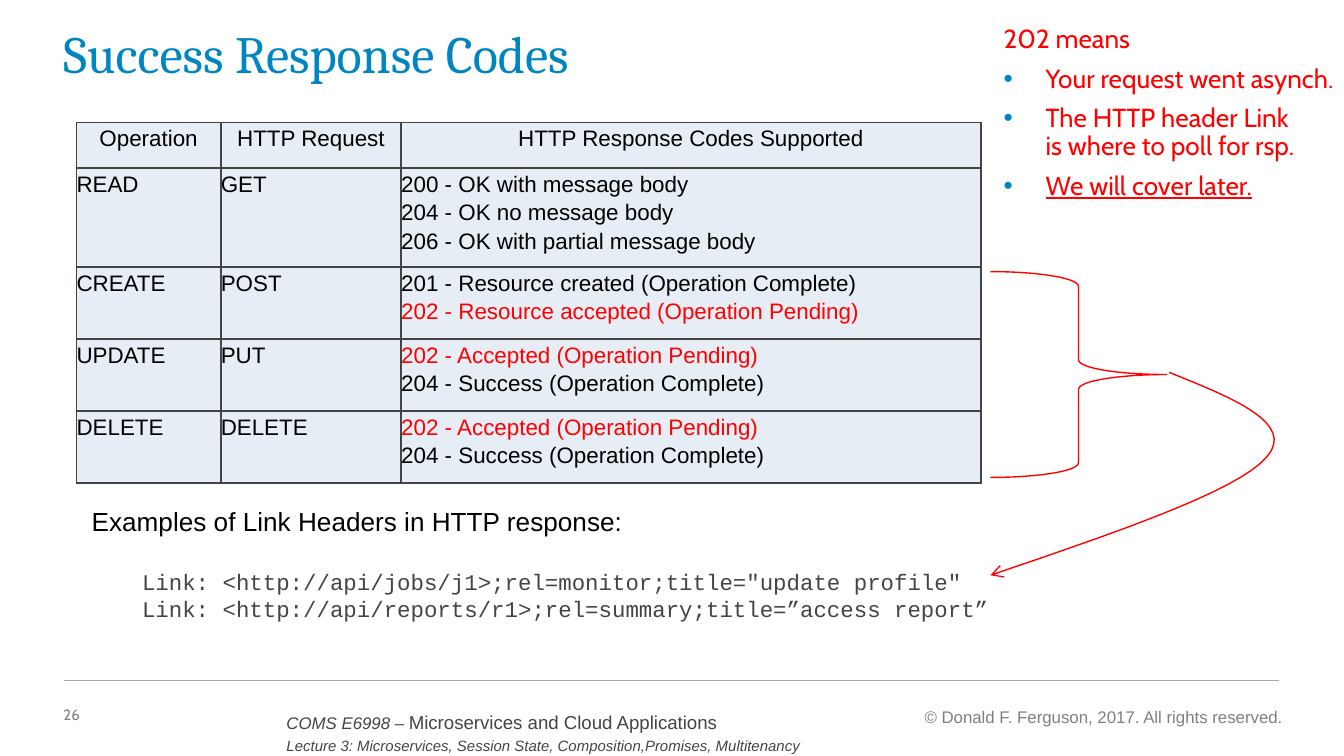
"""Build the slide on HTTP success response codes and Link headers."""
from lxml.etree import SubElement
from pptx import Presentation
from pptx.dml.color import RGBColor
from pptx.enum.shapes import MSO_CONNECTOR as Connector, MSO_SHAPE as Shape
from pptx.enum.text import MSO_ANCHOR as Anchor, PP_ALIGN as Align
from pptx.oxml.ns import qn
from pptx.util import Pt

COLORS = {
    "black": "000000", "red": "FF0000", "blue": "0085C3", "text": "444444",
    "muted": "808080", "rule": "AAAAAA", "cell": "E7EDF5",
}


def color(name):
    return RGBColor.from_string(COLORS[name])


def add_solid_fill(parent, name):
    SubElement(SubElement(parent, qn("a:solidFill")), qn("a:srgbClr"), val=COLORS[name])


def write_text(paragraph, text, size=12, font="Arial", ink="black", italic=None,
               underline=None, align=Align.LEFT, spacing=None, before=None):
    """Append formatted text to a paragraph, turning newlines into line breaks."""
    paragraph.alignment = align
    if spacing:
        paragraph.line_spacing = spacing
    if before:
        paragraph.space_before = Pt(before)
    for index, line in enumerate(text.split("\n")):
        if index:
            paragraph.add_line_break()
        run = paragraph.add_run()
        run.text = line
        run.font.size = Pt(size)
        run.font.name = font
        run.font.color.rgb = color(ink)
        run.font.italic = italic
        run.font.underline = underline


def next_paragraph(frame, index):
    return frame.add_paragraph() if index else frame.paragraphs[0]


def indent(paragraph, margin, first=0, bullet=None):
    properties = paragraph._p.get_or_add_pPr()
    properties.set("marL", str(Pt(margin)))
    properties.set("indent", str(Pt(first)))
    if bullet:
        SubElement(SubElement(properties, qn("a:buClr")), qn("a:srgbClr"), val=COLORS["blue"])
        SubElement(properties, qn("a:buFont"), typeface="Arial")
        SubElement(properties, qn("a:buChar"), char=bullet)


def bezier(start, first, second, end, steps=16):
    points = []
    for step in range(1, steps + 1):
        t = step / steps
        weights = ((1 - t) ** 3, 3 * t * (1 - t) ** 2, 3 * t * t * (1 - t), t ** 3)
        points.append(tuple(
            Pt(sum(w * p[axis] for w, p in zip(weights, (start, first, second, end))))
            for axis in (0, 1)))
    return points


class Deck:
    """Holds the style and the current slide."""

    def __init__(self, width, height):
        self.presentation = Presentation()
        self.presentation.slide_width = Pt(width)
        self.presentation.slide_height = Pt(height)
        self.slide = self.presentation.slides.add_slide(self.presentation.slide_layouts[5])
        self.shapes = self.slide.shapes

    def title(self, text, left, top, width, height):
        title = self.shapes.title
        title.left, title.top, title.width, title.height = map(Pt, (left, top, width, height))
        frame = title.text_frame
        self.clear_margins(frame)
        frame.vertical_anchor = Anchor.TOP
        write_text(frame.paragraphs[0], text, size=28, font="Cambria", ink="blue", spacing=0.9)

    def clear_margins(self, owner):
        owner.margin_left = owner.margin_top = owner.margin_right = owner.margin_bottom = 0

    def text_box(self, left, top, width, height, inset=False, anchor=Anchor.TOP):
        frame = self.shapes.add_textbox(*map(Pt, (left, top, width, height))).text_frame
        frame.word_wrap = True
        frame.vertical_anchor = anchor
        if not inset:
            self.clear_margins(frame)
        return frame

    def style_line(self, shape, ink):
        shape.line.color.rgb = color(ink)
        shape.line.width = Pt(0.75)

    def rule(self, left, top, right):
        rule = self.shapes.add_connector(Connector.STRAIGHT, *map(Pt, (left, top, right, top)))
        self.style_line(rule, "rule")
        SubElement(rule._element.spPr, qn("a:effectLst"))

    def brace(self, left, top, width, height):
        brace = self.shapes.add_shape(Shape.RIGHT_BRACE, *map(Pt, (left, top, width, height)))
        brace.shadow.inherit = False
        brace.fill.background()
        self.style_line(brace, "red")

    def curved_arrow(self, start, *curves):
        builder = self.shapes.build_freeform(*map(Pt, start))
        for first, second, end in curves:
            builder.add_line_segments(bezier(start, first, second, end), close=False)
            start = end
        arrow = builder.convert_to_shape()
        arrow.shadow.inherit = False
        arrow.fill.background()
        self.style_line(arrow, "red")
        SubElement(arrow.line._get_or_add_ln(), qn("a:tailEnd"), type="arrow")

    def table(self, left, top, widths, heights, rows):
        table = self.shapes.add_table(len(rows), len(widths), Pt(left), Pt(top),
                                      Pt(sum(widths)), Pt(sum(heights))).table
        table.first_row = table.horz_banding = False
        for column, width in zip(table.columns, widths):
            column.width = Pt(width)
        for index, (row, height) in enumerate(zip(rows, heights)):
            table.rows[index].height = Pt(height)
            for cell, text in zip(table.rows[index].cells, row):
                self.cell(cell, text, Align.LEFT if index else Align.CENTER)

    def cell(self, cell, text, align):
        self.clear_margins(cell)
        for side in ("lnL", "lnR", "lnT", "lnB"):
            border = SubElement(cell._tc.get_or_add_tcPr(), qn(f"a:{side}"), w=str(Pt(1)))
            add_solid_fill(border, "text")
        cell.fill.solid()
        cell.fill.fore_color.rgb = color("cell")
        for index, line in enumerate(text.split("\n")):
            write_text(next_paragraph(cell.text_frame, index), line, align=align, spacing=1.15,
                       ink="red" if line.startswith("202") else "black")


def main():
    deck = Deck(720, 405)

    page_number = deck.text_box(34, 378.5, 21, 9.5, anchor=Anchor.MIDDLE)
    write_text(page_number.paragraphs[0], "26", size=8, font="Cabin", ink="muted", spacing=0.9)
    rights = deck.text_box(471, 378.5, 216, 11)
    write_text(rights.paragraphs[0], "© Donald F. Ferguson, 2017. All rights reserved.",
               size=9, ink="muted", align=Align.RIGHT)
    course = deck.text_box(153.5, 378.5, 332, 25).paragraphs[0]
    for text, size, italic in (
        ("COMS E6998 – ", 9, True),
        ("Microservices and Cloud Applications\n", 10, False),
        ("Lecture 3: Microservices, Session State, Composition,Promises, Multitenancy", 8, True),
    ):
        write_text(course, text, size=size, italic=italic, ink="text", spacing=1.2)
    deck.rule(34.5, 364.5, 685)

    deck.title("Success Response Codes", 34, 15, 652, 30)
    pending = "202 - Accepted (Operation Pending)\n204 - Success (Operation Complete)"
    deck.table(41, 65.7, (77.3, 96.7, 310.5), (24.3, 53, 38.6, 38.6, 38.6), (
        ("Operation", "HTTP Request", "HTTP Response Codes Supported"),
        ("READ", "GET", "200 - OK with message body\n204 - OK no message body\n"
                        "206 - OK with partial message body"),
        ("CREATE", "POST", "201 - Resource created (Operation Complete)\n"
                           "202 - Resource accepted (Operation Pending)"),
        ("UPDATE", "PUT", pending),
        ("DELETE", "DELETE", pending),
    ))

    examples = deck.text_box(42, 267, 534, 70.5, inset=True)
    write_text(examples.paragraphs[0], "Examples of Link Headers in HTTP response:", size=14)
    for text, before in (
        ('Link: <http://api/jobs/j1>;rel=monitor;title="update profile"', 17),
        ("Link: <http://api/reports/r1>;rel=summary;title=”access report”", 0),
    ):
        link = examples.add_paragraph()
        indent(link, 27)
        write_text(link, text, font="Courier New", ink="text", before=before)

    deck.brace(530.6, 145.5, 94.4, 110.3)
    deck.curved_arrow((626.4, 199.5),
                      ((660.2, 213.1), (694.8, 226.8), (678.5, 245)),
                      ((662.4, 263.5), (596.2, 285.8), (530.6, 308.2)))

    meaning = deck.text_box(530.6, 10.5, 189.4, 102, inset=True)
    meaning.margin_right = 0
    for index, text in enumerate((
        "202 means", "Your request went asynch.",
        "The HTTP header Link\nis where to poll for rsp.", "We will cover later.",
    )):
        point = next_paragraph(meaning, index)
        if index:
            indent(point, 22.5, -22.5, "•")
        write_text(point, text, size=14, font="Cabin", ink="red", spacing=0.9,
                   before=6 if index else None, underline=index == 3)

    deck.presentation.save("out.pptx")


if __name__ == "__main__":
    main()
